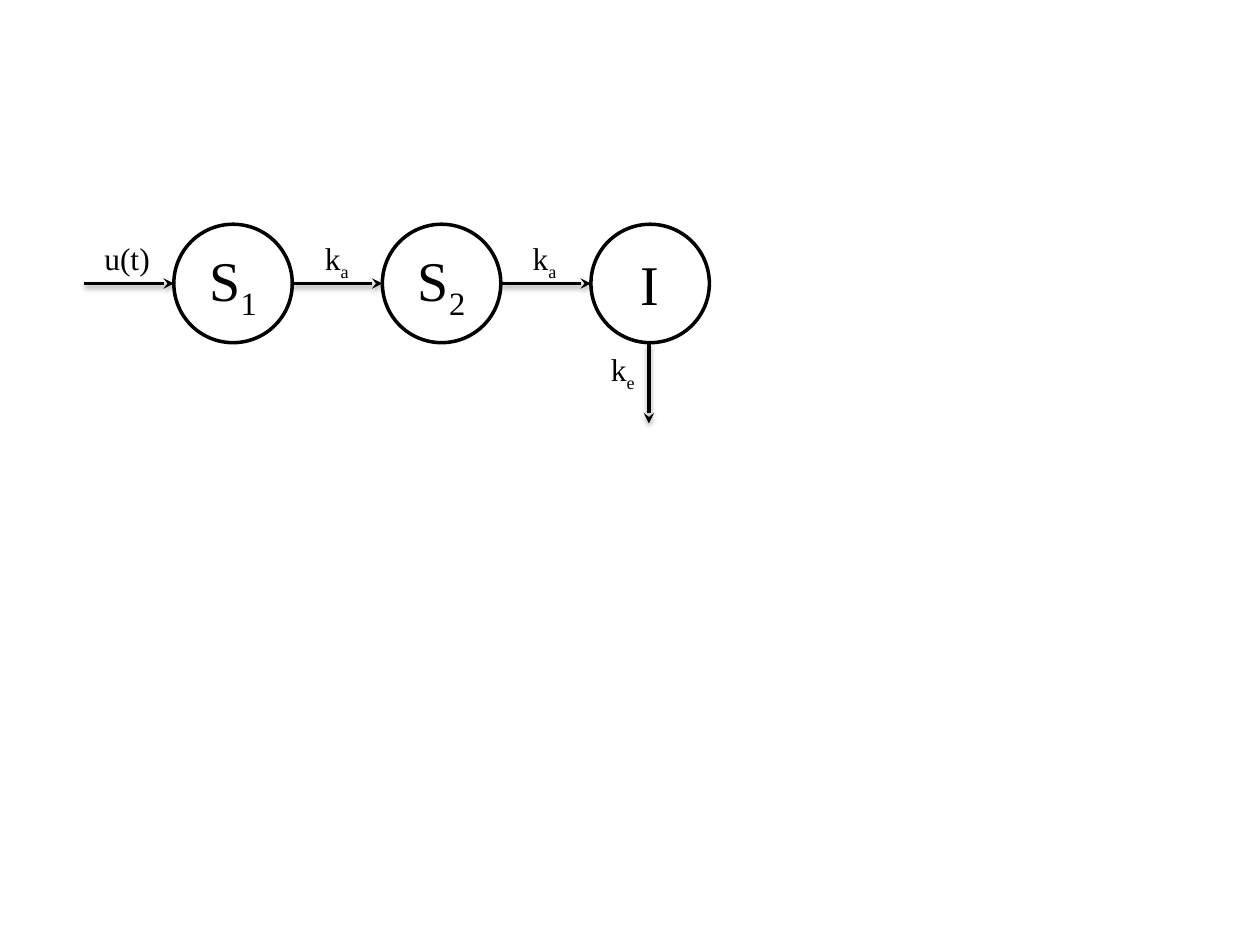
from lxml import etree
from pptx import Presentation
from pptx.dml.color import RGBColor
from pptx.enum.shapes import MSO_CONNECTOR as CONN, MSO_SHAPE as SHAPE
from pptx.enum.text import MSO_ANCHOR as ANCHOR, MSO_AUTO_SIZE as AUTO, PP_ALIGN as ALIGN
from pptx.oxml import parse_xml
from pptx.oxml.ns import nsdecls, qn
from pptx.util import Inches, Pt

COLORS = {"ink": "000000", "paper": "FFFFFF"}
INK = RGBColor.from_string(COLORS["ink"])
PAPER = RGBColor.from_string(COLORS["paper"])
FONT = "Times New Roman"
SHADOW = (
    f'<a:effectLst {nsdecls("a")}>'
    '<a:outerShdw blurRad="40000" dist="20000" dir="5400000" rotWithShape="0">'
    f'<a:srgbClr val="{COLORS["ink"]}"><a:alpha val="38000"/></a:srgbClr>'
    '</a:outerShdw></a:effectLst>'
)


def write_symbol(tf, base, sub, size):
    """Write a symbol with an optional subscript."""
    p = tf.paragraphs[0]
    for text, offset in ((base, None), (sub, "-25000")):
        if not text:
            continue
        r = p.add_run()
        r.text = text
        r.font.name = FONT
        r.font.size = Pt(size)
        r.font.color.rgb = INK
        if offset:
            r.font._element.set("baseline", offset)
    return p


def add_arrow(s, x1, y1, x2, y2):
    """Draw a shadowed line with a stealth arrowhead at its end."""
    sp = s.shapes.add_connector(CONN.STRAIGHT, Inches(x1), Inches(y1), Inches(x2), Inches(y2))
    sp.line.color.rgb = INK
    sp.line.width = Pt(2)
    etree.SubElement(sp.line._get_or_add_ln(), qn("a:tailEnd"), type="stealth")
    sp._element.spPr.append(parse_xml(SHADOW))


prs = Presentation()
prs.slide_width, prs.slide_height = Inches(10), Inches(7.5)
s = prs.slides.add_slide(prs.slide_layouts[6])

# Compartments, each fed by an arrow from the left
LEFT, TOP, SIZE, PITCH, GAP = 1.38, 1.78, 0.94, 1.655, 0.71
MID = TOP + SIZE / 2
for i, (base, sub) in enumerate((("S", "1"), ("S", "2"), ("I", ""))):
    x = LEFT + i * PITCH
    sp = s.shapes.add_shape(SHAPE.OVAL, Inches(x), Inches(TOP), Inches(SIZE), Inches(SIZE))
    sp.shadow.inherit = False
    sp.fill.solid()
    sp.fill.fore_color.rgb = PAPER
    sp.line.color.rgb = INK
    sp.line.width = Pt(2)
    sp.text_frame.vertical_anchor = ANCHOR.MIDDLE
    write_symbol(sp.text_frame, base, sub, 32).alignment = ALIGN.CENTER
    add_arrow(s, x - GAP, MID, x, MID)

# Elimination from the last compartment
add_arrow(s, 5.15, 2.73, 5.15, 3.36)

# Rate labels
labels = (
    ("u(t)", "", 0.73, 1.85, 0.57),
    ("k", "a", 2.48, 1.85, 0.4),
    ("k", "a", 4.13, 1.85, 0.4),
    ("k", "e", 4.75, 2.73, 0.4),
)
for base, sub, x, y, width in labels:
    tf = s.shapes.add_textbox(Inches(x), Inches(y), Inches(width), Inches(0.4)).text_frame
    tf.word_wrap = False
    tf.auto_size = AUTO.SHAPE_TO_FIT_TEXT
    write_symbol(tf, base, sub, 18)

prs.save("out.pptx")
